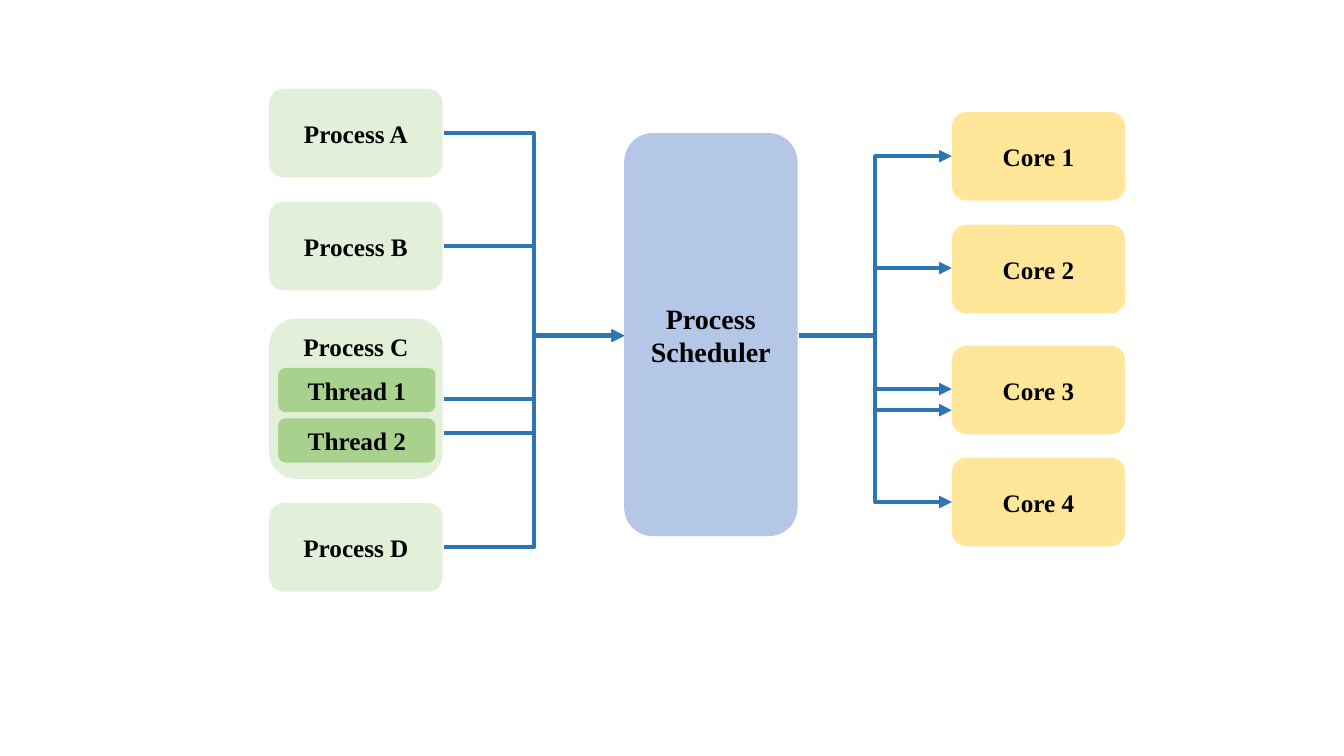
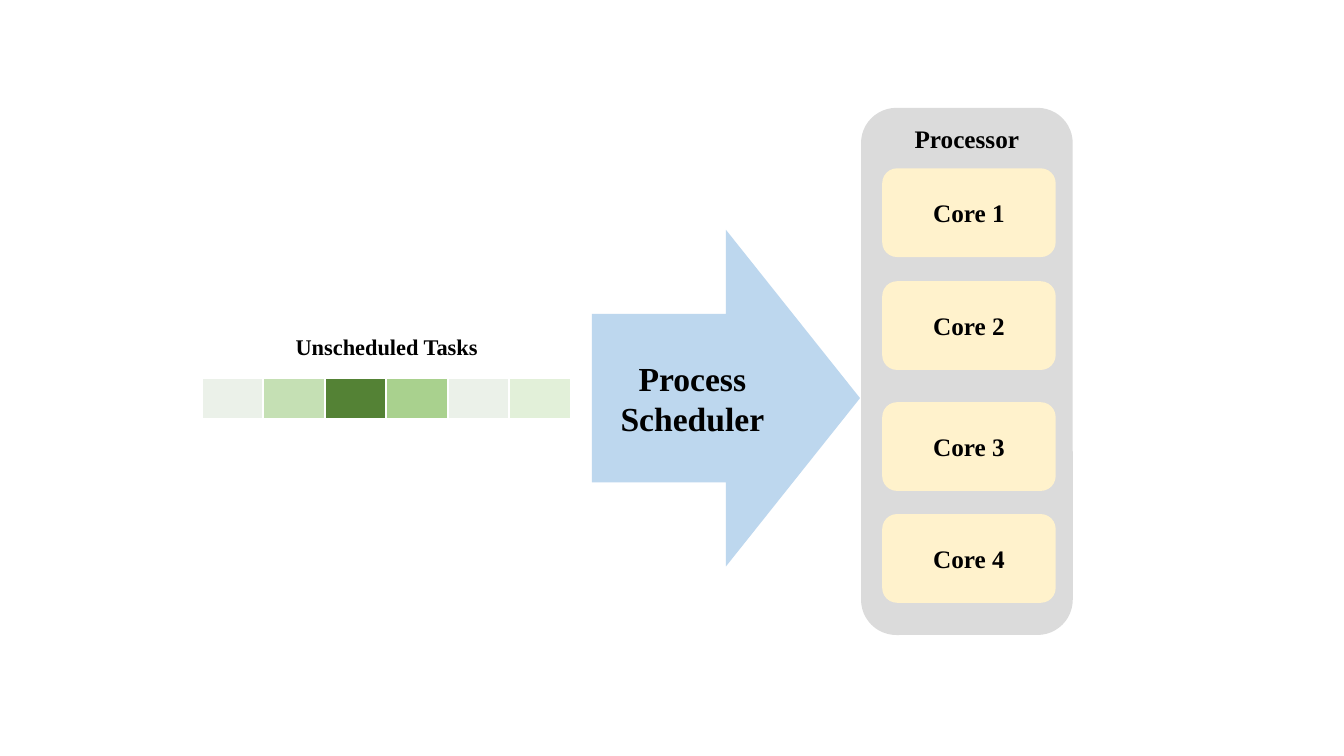
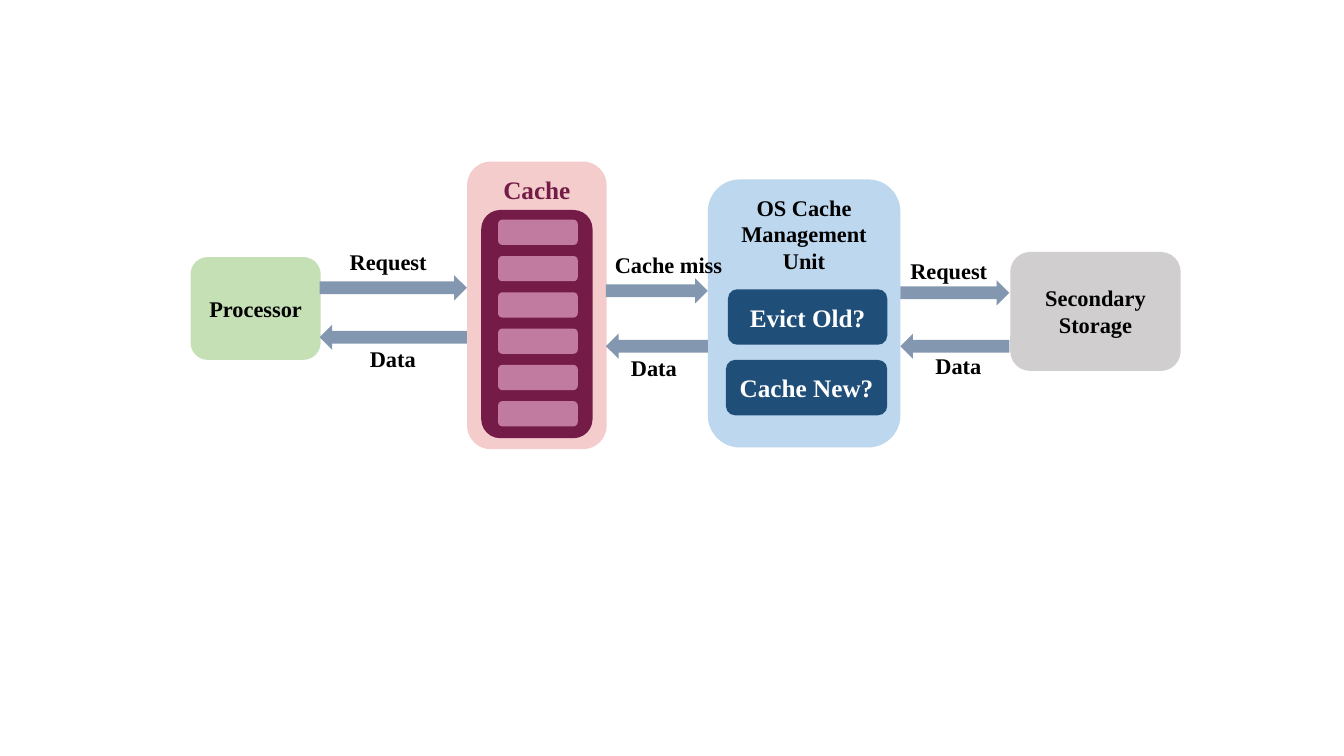
from pptx import Presentation
from pptx.dml.color import RGBColor
from pptx.enum.shapes import MSO_CONNECTOR, MSO_SHAPE as SHAPE
from pptx.enum.text import MSO_ANCHOR as ANCHOR, MSO_AUTO_SIZE, PP_ALIGN as ALIGN
from pptx.oxml.ns import qn
from pptx.util import Inches, Pt
from lxml import etree

FONT = "Times New Roman"
C = {
    "black": "000000", "white": "FFFFFF",
    "process": "E2F0D9", "thread": "A9D18E", "scheduler": "B4C7E7",
    "core": "FFE699", "pale_core": "FFF2CC", "link": "2E75B6",
    "chip": "DBDBDB", "light_blue": "BDD7EE",
    "idle": "EBF1E9", "light_task": "C5E0B4", "heavy_task": "548235",
    "cache": "F4CCCC", "cache_core": "741B47", "cache_line": "C27BA0",
    "storage": "D0CECE", "arrow": "8497B0", "decision": "1F4E79",
}
CORE_W, CORE_H = 1.72, 0.88
CORE_TOPS = (0, 1.12, 2.32, 3.43)


def rgb(name):
    """Return the named colour."""
    return RGBColor.from_string(C[name])


def write(tf, text, size, color="black", align=ALIGN.CENTER):
    """Put one bold run in a text frame."""
    tf.word_wrap = True
    p = tf.paragraphs[0]
    p.alignment = align
    r = p.add_run()
    r.text = text
    r.font.name, r.font.size, r.font.bold = FONT, Pt(size), True
    r.font.color.rgb = rgb(color)


def add_block(s, box, fill, text="", size=18, color="black",
              anchor=ANCHOR.MIDDLE, kind=SHAPE.ROUNDED_RECTANGLE):
    """Add a flat filled shape with an optional caption."""
    sp = s.shapes.add_shape(kind, *map(Inches, box))
    sp.shadow.inherit = False
    sp.fill.solid()
    sp.fill.fore_color.rgb = rgb(fill)
    sp.line.fill.background()
    if text:
        sp.text_frame.vertical_anchor = anchor
        write(sp.text_frame, text, size, color)
    return sp


def add_label(s, box, text, align=ALIGN.LEFT):
    """Add a free-standing label."""
    tf = s.shapes.add_textbox(*map(Inches, box)).text_frame
    tf.auto_size = MSO_AUTO_SIZE.SHAPE_TO_FIT_TEXT
    write(tf, text, 16, align=align)


def add_elbow(s, start, end):
    """Add a bent connector with an arrowhead at its end."""
    cxn = s.shapes.add_connector(MSO_CONNECTOR.ELBOW, *map(Inches, start + end))
    cxn.line.color.rgb = rgb("link")
    cxn.line.width = Pt(3)
    sp_pr = cxn._element.spPr
    etree.SubElement(sp_pr.find(qn("a:ln")), qn("a:tailEnd"), type="triangle")
    etree.SubElement(sp_pr, qn("a:effectLst"))


def add_cores(s, left, top, fill):
    """Stack the four cores below the given corner."""
    for i, dy in enumerate(CORE_TOPS, 1):
        add_block(s, (left, top + dy, CORE_W, CORE_H), fill, f"Core {i}")


def add_processes(s, left, top):
    """Stack the processes, the third one holding two threads."""
    for name, dy in (("A", 0), ("B", 1.12), ("D", 4.11)):
        add_block(s, (left, top + dy, CORE_W, CORE_H), "process", f"Process {name}")
    add_block(s, (left, top + 2.28, CORE_W, 1.59), "process", "Process C",
              anchor=ANCHOR.TOP)
    for i, dy in enumerate((2.77, 3.27), 1):
        add_block(s, (left + 0.09, top + dy, 1.56, 0.44), "thread", f"Thread {i}")


def add_task_queue(s, box, fills):
    """Add a one-row table of coloured tasks with white borders."""
    frame = s.shapes.add_table(1, len(fills), *map(Inches, box))
    table = frame.table
    table.first_row = table.horz_banding = False
    for cell, fill in zip(table.rows[0].cells, fills):
        tc_pr = cell._tc.get_or_add_tcPr()
        for side in ("L", "R", "T", "B"):
            ln = etree.SubElement(tc_pr, qn(f"a:ln{side}"), w=str(Pt(1.5)))
            paint = etree.SubElement(ln, qn("a:solidFill"))
            etree.SubElement(paint, qn("a:srgbClr"), val=C["white"])
        cell.fill.solid()
        cell.fill.fore_color.rgb = rgb(fill)


def add_cache(s, box):
    """Add the cache with its column of six lines."""
    x, y, w, h = box
    inner = (x + 0.14, y + 0.48, w - 0.28, h - 0.59)
    panel = add_block(s, box, "cache", "Cache", 18, "cache_core", ANCHOR.TOP)
    store = add_block(s, inner, "cache_core")
    for sp, color in ((panel, "cache"), (store, "cache_core")):
        sp.line.color.rgb = rgb(color)
        sp.line.width = Pt(1)
    for i in range(6):
        add_block(s, (x + 0.3, y + 0.57 + 0.36 * i, 0.79, 0.25), "cache_line")


def add_exchange(s, box, request, request_at, data_at):
    """Add a request arrow above a returning data arrow, each labelled."""
    x, y, w, h = box
    thick = 0.25
    for top, turn in ((y, 0), (y + h - thick, 180)):
        sp = add_block(s, (x, top, w, thick), "arrow", kind=SHAPE.RIGHT_ARROW)
        sp.rotation = turn
    for text, (dx, dy) in ((request, request_at), ("Data", data_at)):
        add_label(s, (x + dx, y + dy, 2.17, 0.37), text)


def build_dispatch(s):
    """Processes and threads pass through the scheduler to the cores."""
    add_processes(s, 2.67, 0.88)
    add_block(s, (6.19, 1.32, CORE_W, 4), "scheduler", "Process Scheduler", 20)
    add_cores(s, 9.44, 1.11, "core")
    for y in (1.32, 2.44, 3.96, 4.3, 5.43):
        add_elbow(s, (4.4, y), (6.19, 3.33))
    for y in (1.55, 2.66, 3.86, 4.07, 4.98):
        add_elbow(s, (7.92, 3.33), (9.44, y))


def build_queue(s):
    """Unscheduled tasks flow into the processor."""
    add_block(s, (8.54, 1.07, 2.1, 5.23), "chip", "Processor", anchor=ANCHOR.TOP)
    add_task_queue(s, (2, 3.75, 3.66, 0.41),
                   ("idle", "light_task", "heavy_task", "thread", "idle", "process"))
    add_cores(s, 8.75, 1.67, "pale_core")
    add_label(s, (2.83, 3.26, 2.01, 0.37), "Unscheduled Tasks", ALIGN.CENTER)
    add_block(s, (5.87, 2.28, 2.66, 3.34), "light_blue", "Process Scheduler", 24,
              kind=SHAPE.RIGHT_ARROW)


def build_cache_flow(s):
    """Requests and data travel between processor, cache and storage."""
    add_block(s, (7.02, 1.78, 1.91, 2.66), "light_blue",
              "OS Cache Management Unit", 16, anchor=ANCHOR.TOP)
    add_block(s, (1.89, 2.55, 1.29, 1.02), "light_task", "Processor", 16)
    add_block(s, (10.02, 2.5, 1.69, 1.18), "storage", "Secondary Storage", 16)
    add_cache(s, (4.64, 1.61, 1.37, 2.84))
    add_exchange(s, (3.17, 2.73, 1.46, 0.74), "Request", (0.2, -0.32), (0.4, 0.64))
    add_exchange(s, (6.01, 2.76, 1.01, 0.8), "Cache miss", (-0.01, -0.32), (0.15, 0.7))
    add_exchange(s, (8.93, 2.78, 1.08, 0.78), "Request", (0, -0.28), (0.25, 0.66))
    add_block(s, (7.22, 2.87, 1.58, 0.55), "decision", "Evict Old?", color="white")
    add_block(s, (7.2, 3.57, 1.6, 0.55), "decision", "Cache New?", color="white")


prs = Presentation()
prs.slide_width, prs.slide_height = Inches(13.33), Inches(7.5)
blank = prs.slide_layouts[6]
for build in (build_dispatch, build_queue, build_cache_flow):
    build(prs.slides.add_slide(blank))
prs.save("out.pptx")
